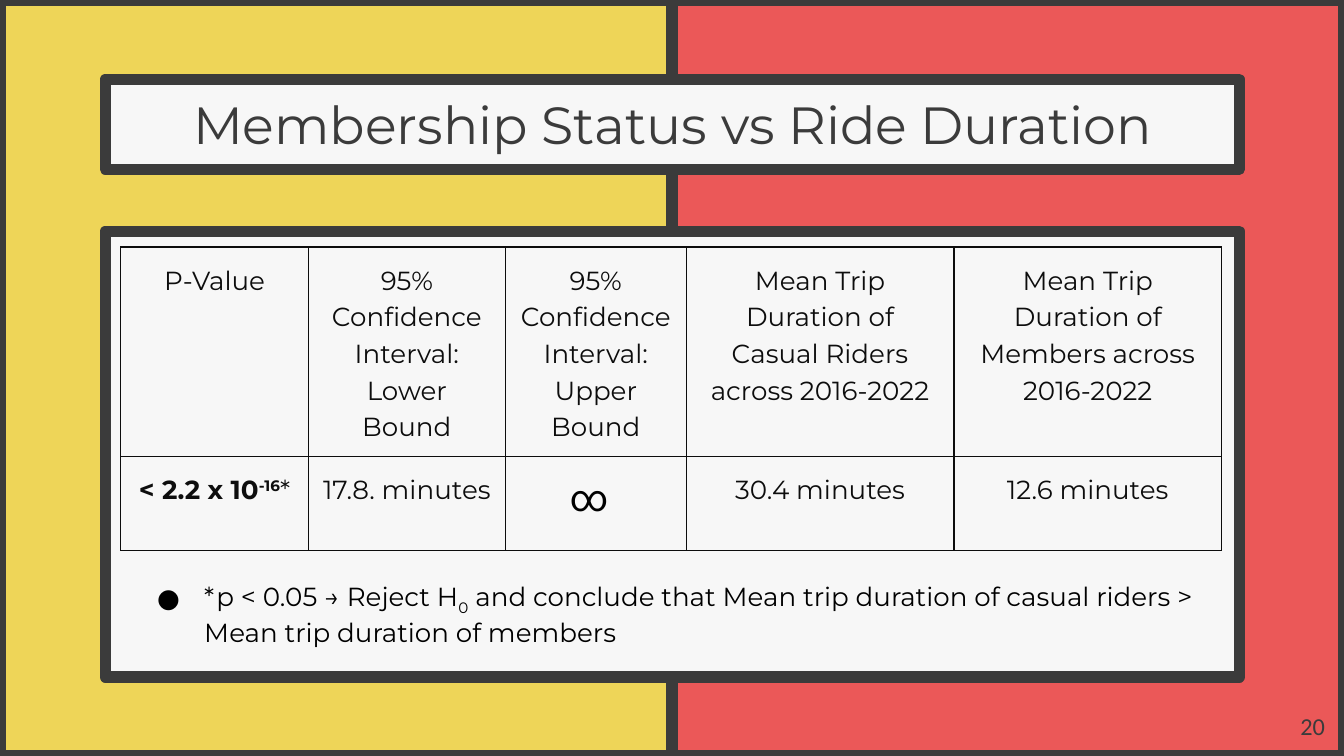
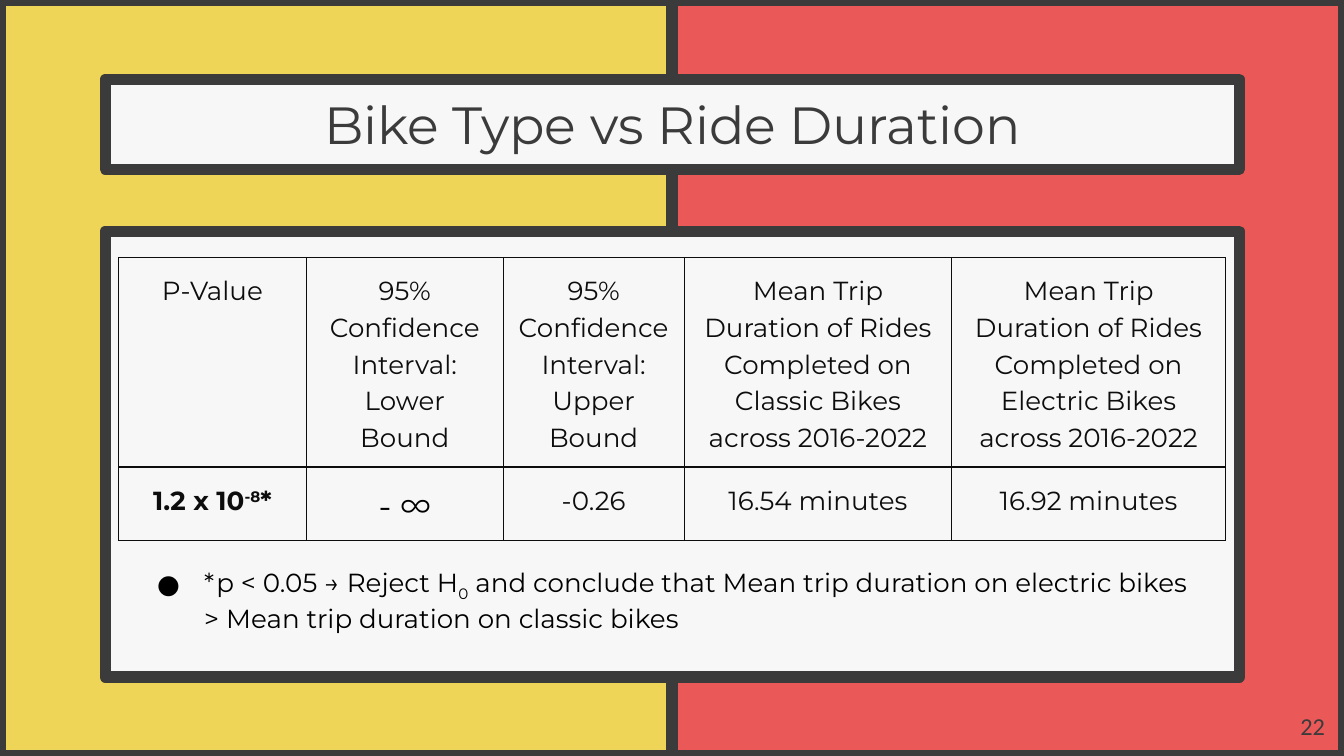
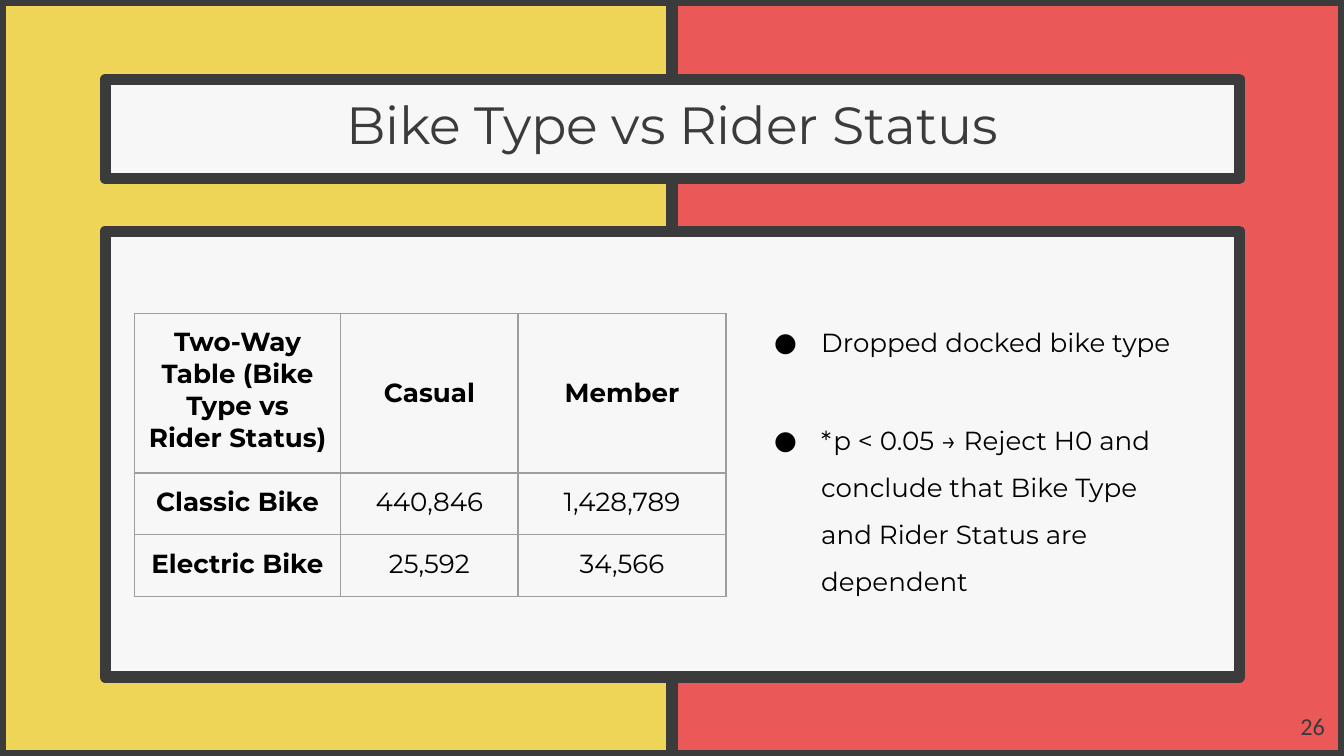
from dataclasses import dataclass
from typing import Optional

from lxml import etree
from pptx import Presentation
from pptx.dml.color import RGBColor
from pptx.enum.shapes import MSO_SHAPE
from pptx.enum.text import MSO_ANCHOR, MSO_AUTO_SIZE, PP_ALIGN
from pptx.oxml.ns import qn
from pptx.util import Cm, Pt

RECT = MSO_SHAPE.RECTANGLE
LEFT, CENTER, RIGHT = PP_ALIGN.LEFT, PP_ALIGN.CENTER, PP_ALIGN.RIGHT
TOP, MIDDLE = MSO_ANCHOR.TOP, MSO_ANCHOR.MIDDLE
NO_AUTOFIT = MSO_AUTO_SIZE.NONE


@dataclass(frozen=True)
class Theme:
    yellow: str = "EED558"
    red: str = "EB5858"
    dark: str = "3B3B3B"
    paper: str = "F7F7F7"
    black: str = "000000"
    ink: str = "0D0D0D"
    grey: str = "9E9E9E"
    font: str = "Montserrat"
    number_font: str = "Calibri"
    symbol_font: str = "Roboto"
    title: int = 28
    body: int = 14
    number: int = 13
    symbol: int = 20
    minus_infinity: int = 18
    frame: int = 6
    rule: float = 0.75
    inset: float = 0.25


T = Theme()


@dataclass(frozen=True)
class Run:
    text: str
    bold: bool = False
    base: int = 0
    size: int = T.body
    color: str = T.black
    font: str = T.font


def ink(text, **style):
    return Run(text, color=T.ink, **style)


def rgb(value):
    return RGBColor.from_string(value)


def place(sp, left, top, width, height):
    sp.left, sp.top, sp.width, sp.height = Cm(left), Cm(top), Cm(width), Cm(height)


def set_insets(target):
    target.margin_left = target.margin_right = Cm(T.inset)
    target.margin_top = target.margin_bottom = Cm(T.inset)


def frame(sp, fill):
    sp.fill.solid()
    sp.fill.fore_color.rgb = rgb(fill)
    sp.line.color.rgb = rgb(T.dark)
    sp.line.width = Pt(T.frame)


def add_runs(p, runs, align=LEFT, spacing=1.0):
    p.alignment = align
    p.line_spacing = spacing
    p.space_before = Pt(0)
    for run in runs:
        r = p.add_run()
        r.text = run.text
        r.font.name = run.font
        r.font.size = Pt(run.size)
        r.font.bold = run.bold
        r.font.color.rgb = rgb(run.color)
        if run.base:
            r._r.get_or_add_rPr().set("baseline", str(run.base * 1000))


def prepare_text(sp, anchor=TOP):
    tf = sp.text_frame
    tf.word_wrap = True
    tf.auto_size = NO_AUTOFIT
    tf.vertical_anchor = anchor
    set_insets(tf)
    return tf.paragraphs[0]


def add_bullet(p):
    pPr = p._p.get_or_add_pPr()
    pPr.set("marL", str(Cm(1.27)))
    pPr.set("indent", str(Cm(-0.89)))
    color = etree.SubElement(pPr, qn("a:buClr"))
    etree.SubElement(color, qn("a:srgbClr"), val=T.black)
    etree.SubElement(pPr, qn("a:buFont"), typeface=T.font)
    etree.SubElement(pPr, qn("a:buChar"), char="●")


def fill_list(sp, box, runs, spacing=1.0):
    place(sp, *box)
    p = prepare_text(sp)
    add_bullet(p)
    add_runs(p, runs, spacing=spacing)


def add_text(s, box, run, align, spacing=1.0, anchor=TOP):
    sp = s.shapes.add_textbox(*(Cm(v) for v in box))
    add_runs(prepare_text(sp, anchor), [run], align, spacing)


def set_borders(cell, color):
    tcPr = cell._tc.get_or_add_tcPr()
    for side in ("lnL", "lnR", "lnT", "lnB"):
        ln = etree.SubElement(tcPr, qn(f"a:{side}"), w=str(Pt(T.rule)))
        fill = etree.SubElement(ln, qn("a:solidFill"))
        etree.SubElement(fill, qn("a:srgbClr"), val=color)


def add_table(s, left, top, widths, heights, rows, border, spacing=1.0):
    table = s.shapes.add_table(
        len(rows), len(widths), Cm(left), Cm(top), Cm(sum(widths)), Cm(sum(heights))
    ).table
    table.first_row = table.horz_banding = False
    for column, width in zip(table.columns, widths):
        column.width = Cm(width)
    for row, height, cells in zip(table.rows, heights, rows):
        row.height = Cm(height)
        for cell, paragraphs in zip(row.cells, cells):
            set_borders(cell, border)
            cell.fill.background()
            set_insets(cell)
            for i, runs in enumerate(paragraphs):
                tf = cell.text_frame
                p = tf.add_paragraph() if i else tf.paragraphs[0]
                add_runs(p, runs, CENTER, spacing)
    return table


def add_test_table(s, left, top, last_width, heights, means, results):
    headers = [
        ["P-Value"],
        ["95% Confidence Interval:", "Lower Bound"],
        ["95% Confidence Interval:", "Upper Bound"],
        *([f"Mean Trip Duration of {group} across 2016-2022"] for group in means),
    ]
    rows = [
        [[[ink(line)] for line in header] for header in headers],
        [[runs] for runs in results],
    ]
    widths = [3.55, 3.72, 3.42, 5.06, last_width]
    add_table(s, left, top, widths, heights, rows, T.ink, 1.15)


def add_backdrop(prs, s):
    master = prs.slide_master
    master.background.fill.solid()
    master.background.fill.fore_color.rgb = rgb(T.yellow)
    panels = [
        (0, 0, 12.7, 14.29, T.yellow),
        (12.7, 0, 12.7, 14.29, T.red),
        (1.99, 4.37, 21.43, 8.43, T.paper),
    ]
    for shape_id, (*box, fill) in enumerate(panels, 20):
        sp = s.shapes.add_shape(RECT, *(Cm(v) for v in box))
        sp.shadow.inherit = False
        frame(sp, fill)
        sp.element.nvSpPr.cNvPr.id = shape_id
        master.shapes.element.append(sp.element)


def add_slide(prs, layout, title, number, title_height=1.7):
    s = prs.slides.add_slide(prs.slide_layouts[layout])
    sp = s.shapes.title
    place(sp, 1.99, 1.5, 21.43, title_height)
    frame(sp, T.paper)
    add_runs(prepare_text(sp), [Run(title, size=T.title, color=T.dark)], CENTER)
    page = Run(number, size=T.number, color=T.dark, font=T.number_font)
    add_text(s, (23.77, 13.18, 1.52, 1.09), page, RIGHT, anchor=MIDDLE)
    return s


def conclusion(text):
    return [Run("*p < 0.05 → Reject H"), Run("0", base=-25), Run(f" and conclude that {text}")]


def membership_slide(prs):
    s = add_slide(prs, 1, "Membership Status vs Ride Duration", "20")
    add_backdrop(prs, s)
    fill_list(
        s.placeholders[1], (2.34, 10.72, 20.72, 1.7),
        conclusion("Mean trip duration of casual riders > Mean trip duration of members"),
    )
    add_test_table(
        s, 2.28, 4.67, 5.06, [3.84, 1.78], ["Casual Riders", "Members"],
        [
            [ink("< 2.2 x 10", bold=True), ink("-16", bold=True, base=30), ink("*")],
            [ink("17.8. minutes")],
            [],
            [ink("30.4 minutes")],
            [ink("12.6 minutes")],
        ],
    )
    infinity = Run("∞", size=T.symbol, font=T.symbol_font)
    add_text(s, (10.52, 8.59, 0.86, 1.96), infinity, CENTER, 1.15)


def bike_type_slide(prs):
    s = add_slide(prs, 1, "Bike Type vs Ride Duration", "22")
    fill_list(
        s.placeholders[1], (2.34, 10.46, 20.72, 1.7),
        conclusion("Mean trip duration on electric bikes > Mean trip duration on classic bikes"),
    )
    add_test_table(
        s, 2.24, 4.87, 5.17, [3.18, 1.37],
        [f"Rides Completed on {kind} Bikes" for kind in ("Classic", "Electric")],
        [
            [ink("1.2 x 10", bold=True), ink("-8", bold=True, base=30), ink("*", bold=True)],
            [Run("- ∞", size=T.minus_infinity)],
            [ink("-0.26")],
            [ink("16.54 minutes")],
            [ink("16.92 minutes")],
        ],
    )


def rider_status_slide(prs):
    s = add_slide(prs, 3, "Bike Type vs Rider Status", "26", 1.88)
    fill_list(s.placeholders[1], (14, 5.92, 9.12, 1.12), [Run("Dropped docked bike type")])
    fill_list(
        s.placeholders[2], (14, 7.47, 8.46, 3.81),
        [Run("*p < 0.05 → Reject H0 and conclude that Bike Type and Rider Status are dependent")],
        1.5,
    )
    counts = [
        ["Two-Way Table (Bike Type vs Rider Status)", "Casual", "Member"],
        ["Classic Bike", "440,846", "1,428,789"],
        ["Electric Bike", "25,592", "34,566"],
    ]
    rows = [
        [[[Run(text, bold=i == 0 or j == 0)]] for j, text in enumerate(row)]
        for i, row in enumerate(counts)
    ]
    table = add_table(s, 2.54, 5.92, [3.9, 3.35, 3.93], [3.02, 1.17, 1.17], rows, T.grey)
    for column in (1, 2):
        table.cell(0, column).vertical_anchor = MIDDLE


def main():
    prs = Presentation()
    prs.slide_width, prs.slide_height = Cm(25.4), Cm(14.29)
    membership_slide(prs)
    bike_type_slide(prs)
    rider_status_slide(prs)
    prs.save("out.pptx")


if __name__ == "__main__":
    main()
